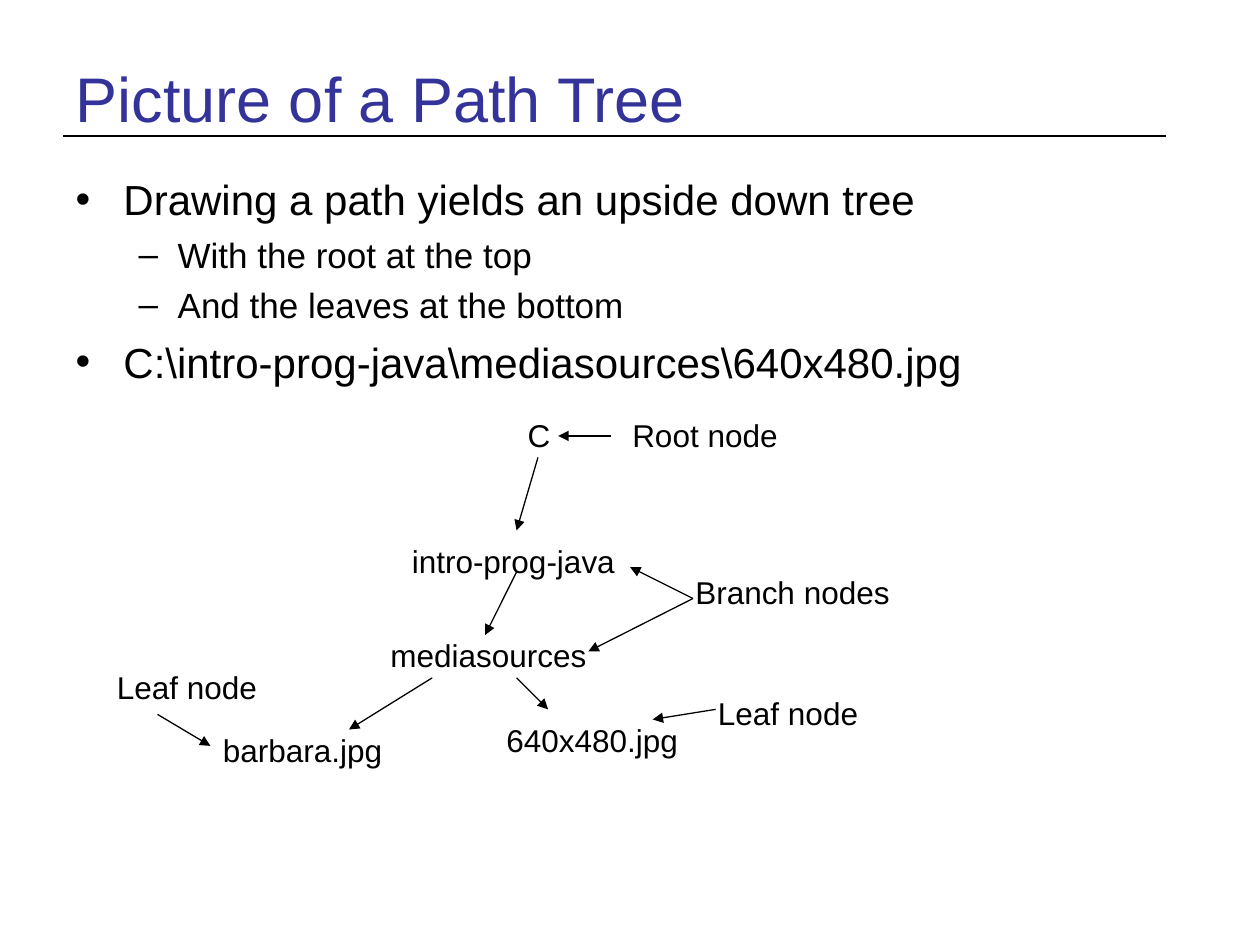
"""Build a slide that shows a file path as an upside down tree."""
from lxml import etree
from pptx import Presentation
from pptx.dml.color import RGBColor
from pptx.enum.shapes import MSO_CONNECTOR
from pptx.enum.text import MSO_ANCHOR, MSO_AUTO_SIZE, PP_ALIGN
from pptx.oxml.ns import qn
from pptx.util import Inches, Pt

LEFT = PP_ALIGN.LEFT
MIDDLE, TOP = MSO_ANCHOR.MIDDLE, MSO_ANCHOR.TOP
FIXED, GROW = MSO_AUTO_SIZE.NONE, MSO_AUTO_SIZE.SHAPE_TO_FIT_TEXT
STRAIGHT = MSO_CONNECTOR.STRAIGHT

FONT = "Arial"
COLORS = {"title": "333399", "ink": "000000"}
WIDE, HIGH = 10, 7.5
EDGE = WIDE * 0.05
SPAN = WIDE - 2 * EDGE
ROW = 0.4
SLACK = 0.02

TITLE = "Picture of a Path Tree"
POINTS = [
    (0, "Drawing a path yields an upside down tree"),
    (1, "With the root at the top"),
    (1, "And the leaves at the bottom"),
    (0, "C:\\intro-prog-java\\mediasources\\640x480.jpg"),
]
LEVELS = [
    {"size": 24, "gap": 6, "left": 0.38, "hang": 0.38, "mark": "•"},
    {"size": 20, "gap": 5, "left": 0.81, "hang": 0.31, "mark": "–"},
]
NODES = [
    ("C", 4.09, 3.25, 0.38),
    ("intro-prog-java", 3.17, 4.25, 1.81),
    ("mediasources", 3, 5, 1.75),
    ("640x480.jpg", 3.92, 5.67, 1.56),
    ("barbara.jpg", 1.67, 5.75, 1.46),
]
NOTES = [
    ("Root node", 4.92, 3.25, 1.35),
    ("Leaf node", 5.6, 5.46, 1.31),
    ("Leaf node", 0.83, 5.25, 1.31),
    ("Branch nodes", 5.42, 4.5, 1.74),
]
FORK = (5.5, 4.75)
ARROWS = [
    ((4.27, 3.63), (4.1, 4.21)),
    ((4.1, 4.54), (3.85, 5.04)),
    ((4.1, 5.38), (4.35, 5.63)),
    ((3.43, 5.38), (2.77, 5.79)),
    ((4.85, 3.46), (4.43, 3.46)),
    ((5.68, 5.63), (5.18, 5.71)),
    ((1.25, 5.67), (1.67, 5.92)),
    (FORK, (4.67, 5.17)),
    (FORK, (5, 4.5)),
]


def place(shape, *box):
    shape.left, shape.top, shape.width, shape.height = map(Inches, box)


def write(para, text, size, color="ink"):
    para.alignment = LEFT
    run = para.add_run()
    run.text = text
    run.font.name = FONT
    run.font.size = Pt(size)
    run.font.color.rgb = RGBColor.from_string(COLORS[color])


def mark(para, rule):
    props = para._p.get_or_add_pPr()
    props.set("marL", str(Inches(rule["left"])))
    props.set("indent", str(-Inches(rule["hang"])))
    tint = etree.SubElement(props, qn("a:buClr"))
    etree.SubElement(tint, qn("a:srgbClr"), val=COLORS["ink"])
    etree.SubElement(props, qn("a:buFont"), typeface=FONT)
    etree.SubElement(props, qn("a:buChar"), char=rule["mark"])


def draw(slide, start, end, width, head=False):
    line = slide.shapes.add_connector(STRAIGHT, *map(Inches, start + end))
    line.line.color.rgb = RGBColor.from_string(COLORS["ink"])
    line.line.width = Pt(width)
    if head:
        etree.SubElement(line.line._ln, qn("a:tailEnd"), type="triangle")
    etree.SubElement(line._element.spPr, qn("a:effectLst"))


def label(slide, text, left, top, width):
    size = (left, top, width + SLACK, ROW)
    box = slide.shapes.add_textbox(*map(Inches, size))
    box.text_frame.word_wrap = False
    box.text_frame.auto_size = GROW
    write(box.text_frame.paragraphs[0], text, 18)


def main():
    deck = Presentation()
    deck.slide_width, deck.slide_height = Inches(WIDE), Inches(HIGH)
    slide = deck.slides.add_slide(deck.slide_layouts[1])
    title, body = slide.placeholders
    draw(slide, (EDGE, 1.08), (9.25, 1.08), 1.5)

    place(title, EDGE, 0.3, SPAN, 0.95)
    place(body, EDGE, 1.33, SPAN, 5.37)
    for shape, anchor in ((title, MIDDLE), (body, TOP)):
        shape.text_frame.auto_size = FIXED
        shape.text_frame.vertical_anchor = anchor
    write(title.text_frame.paragraphs[0], TITLE, 36, "title")

    frame = body.text_frame
    for i, (level, text) in enumerate(POINTS):
        para = frame.add_paragraph() if i else frame.paragraphs[0]
        rule = LEVELS[level]
        para.level = level
        para.space_before = Pt(rule["gap"])
        mark(para, rule)
        write(para, text, rule["size"])

    for item in NODES + NOTES:
        label(slide, *item)
    for start, end in ARROWS:
        draw(slide, start, end, 0.75, head=True)
    deck.save("out.pptx")


if __name__ == "__main__":
    main()
